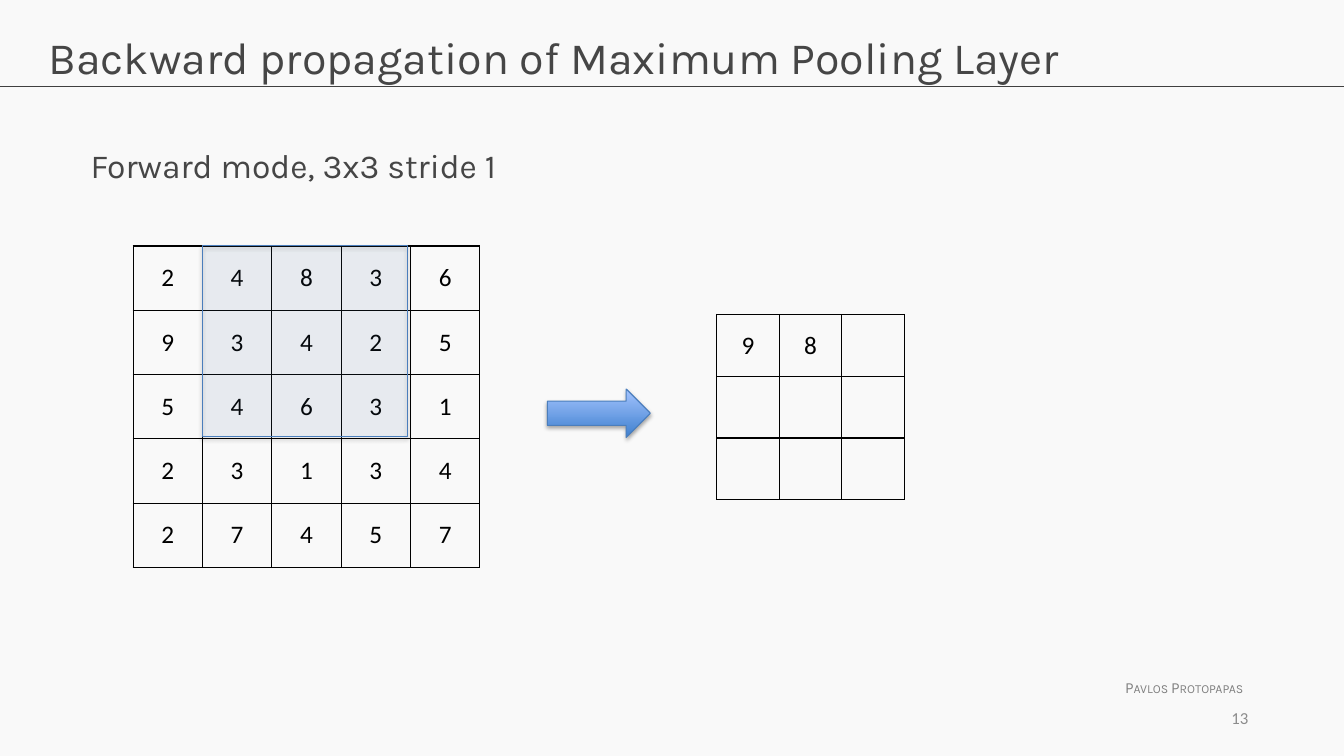
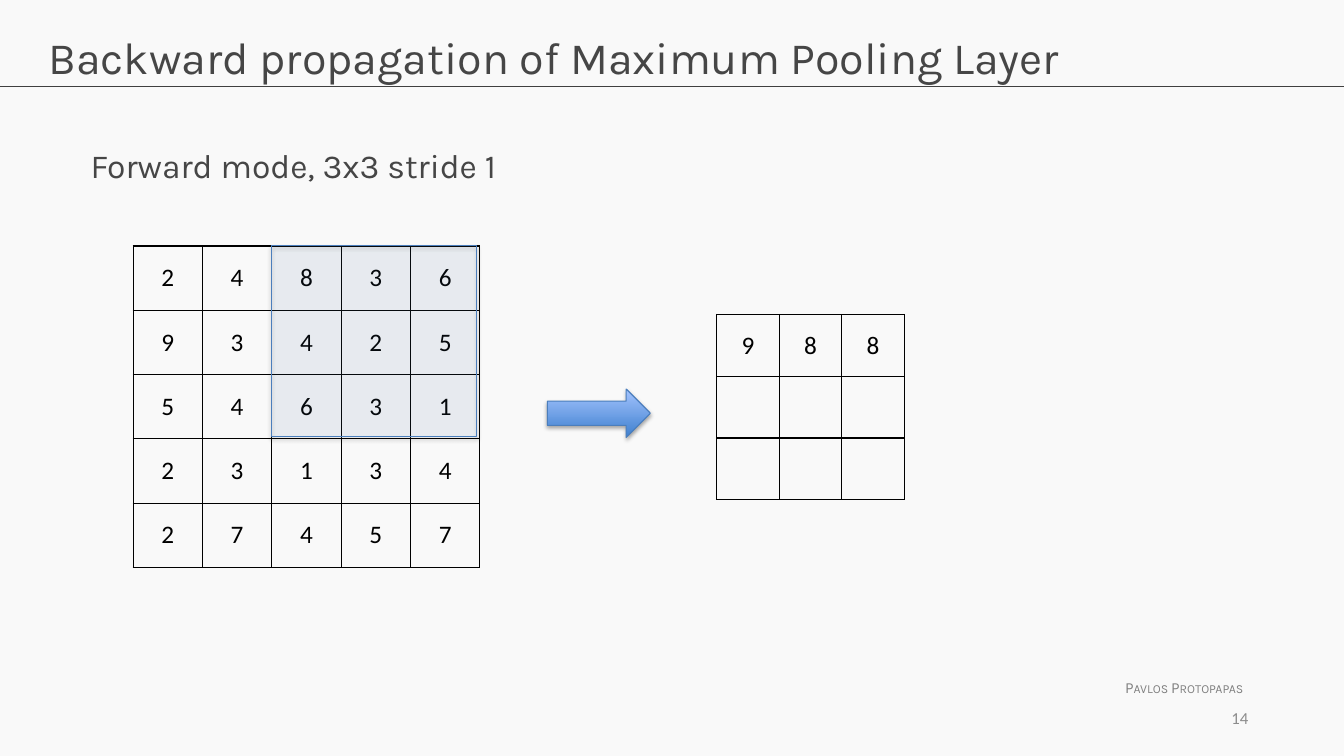
from lxml import etree
from pptx import Presentation
from pptx.dml.color import RGBColor
from pptx.enum.shapes import MSO_CONNECTOR, MSO_SHAPE
from pptx.enum.text import MSO_ANCHOR, MSO_AUTO_SIZE, PP_ALIGN
from pptx.oxml.ns import qn
from pptx.util import Inches, Pt

LEFT, CENTER, RIGHT = PP_ALIGN.LEFT, PP_ALIGN.CENTER, PP_ALIGN.RIGHT
TOP, MIDDLE = MSO_ANCHOR.TOP, MSO_ANCHOR.MIDDLE
FIT, NO_FIT = MSO_AUTO_SIZE.SHAPE_TO_FIT_TEXT, MSO_AUTO_SIZE.NONE
RECT, ARROW = MSO_SHAPE.RECTANGLE, MSO_SHAPE.RIGHT_ARROW
STRAIGHT = MSO_CONNECTOR.STRAIGHT

WIDTH, HEIGHT = 13.33, 7.5
BG, RULE, INK, BLACK = "F9F9F9", "404040", "464646", "000000"
AUTHOR_GREY, NUMBER_GREY = "808080", "8C8C8C"
BLUE, BLUE_EDGE, GRADIENT = "4F81BD", "4B7EBC", ("3F80CE", "A4C4FF")
HEAD_FONT, BODY_FONT = "Karla", "Calibri"

TITLE = "Backward propagation of Maximum Pooling Layer"
MODE = "Forward mode, 3x3 stride 1"
AUTHOR = "Pavlos Protopapas"
INPUT = ["24836", "93425", "54631", "23134", "27457"]
STEPS = [
    {"number": 13, "column": 1, "output": ["98 ", "   ", "   "]},
    {"number": 14, "column": 2, "output": ["988", "   ", "   "]},
]
INPUT_BOX = (1.32, 2.44, 3.44, 3.19)
OUTPUT_BOX = (7.11, 3.12, 1.86, 1.84)
ARROW_BOX = (5.43, 3.86, 1.02, 0.48)
WINDOW_SIZE = (2.03, 1.89)


def rgb(value):
    return RGBColor.from_string(value)


def inches(*values):
    return [Inches(v) for v in values]


def style(p, size, font, color, align=LEFT):
    p.alignment = align
    p.font.size, p.font.name = Pt(size), font
    p.font.color.rgb = rgb(color)


def add_text(s, box, text, size, font, color, align=LEFT, anchor=TOP, wrap=True):
    tf = s.shapes.add_textbox(*inches(*box)).text_frame
    tf.word_wrap, tf.vertical_anchor = wrap, anchor
    tf.auto_size = NO_FIT if wrap else FIT
    p = tf.paragraphs[0]
    p.text = text
    style(p, size, font, color, align)
    return p


def add_border(cell):
    tcPr = cell._tc.get_or_add_tcPr()
    for side in ("a:lnL", "a:lnR", "a:lnT", "a:lnB"):
        ln = etree.SubElement(tcPr, qn(side), w=str(Pt(1)))
        fill = etree.SubElement(ln, qn("a:solidFill"))
        etree.SubElement(fill, qn("a:srgbClr"), val=BLACK)


def add_matrix(s, box, rows):
    table = s.shapes.add_table(len(rows), len(rows[0]), *inches(*box)).table
    table.first_row = table.horz_banding = False
    for i, row in enumerate(rows):
        for j, value in enumerate(row):
            cell = table.cell(i, j)
            add_border(cell)
            cell.fill.background()
            cell.vertical_anchor = MIDDLE
            p = cell.text_frame.paragraphs[0]
            p.text = value.strip()
            style(p, 18, BODY_FONT, BLACK, CENTER)


def add_blue_shape(s, kind, box):
    sp = s.shapes.add_shape(kind, *inches(*box))
    sp.line.color.rgb, sp.line.width = rgb(BLUE_EDGE), Pt(0.75)
    return sp


def add_shadow(sp):
    sp.shadow.inherit = False
    effects = sp._element.spPr.find(qn("a:effectLst"))
    shadow = etree.SubElement(effects, qn("a:outerShdw"), blurRad=str(Pt(3.1)),
                              dist=str(Pt(1.8)), dir="5400000", rotWithShape="0")
    color = etree.SubElement(shadow, qn("a:srgbClr"), val=BLACK)
    etree.SubElement(color, qn("a:alpha"), val="35000")


def add_window(s, column):
    left, top, width, _ = INPUT_BOX
    cell_width = width / len(INPUT[0])
    sp = add_blue_shape(s, RECT, (left + column * cell_width, top, *WINDOW_SIZE))
    sp.fill.solid()
    sp.fill.fore_color.rgb = rgb(BLUE)
    color = sp._element.spPr.find(qn("a:solidFill"))[0]
    etree.SubElement(color, qn("a:alpha"), val="7000")
    add_shadow(sp)


def add_arrow(s):
    sp = add_blue_shape(s, ARROW, ARROW_BOX)
    sp.fill.gradient()
    sp.fill.gradient_angle = 90
    for stop, color in zip(sp.fill.gradient_stops, GRADIENT):
        stop.color.rgb = rgb(color)
    add_shadow(sp)


def add_frame(s, number):
    rule = s.shapes.add_connector(STRAIGHT, *inches(0, 0.86, WIDTH, 0.86))
    rule.line.color.rgb, rule.line.width = rgb(RULE), Pt(0.75)
    etree.SubElement(rule._element.spPr, qn("a:effectLst"))
    p = add_text(s, (11.06, 6.68, 1.41, 0.29), AUTHOR, 11, HEAD_FONT,
                 AUTHOR_GREY, wrap=False)
    p._p.pPr.find(qn("a:defRPr")).set("cap", "small")
    add_text(s, (9.37, 6.92, 3.11, 0.4), str(number), 12, BODY_FONT,
             NUMBER_GREY, RIGHT, MIDDLE)
    title = s.shapes.title
    title.left, title.top, title.width, title.height = inches(0.38, 0.24, 12.57, 0.84)
    tf = title.text_frame
    tf.text, tf.vertical_anchor, tf.auto_size = TITLE, TOP, NO_FIT
    style(tf.paragraphs[0], 32, HEAD_FONT, INK)


def add_step(prs, step):
    s = prs.slides.add_slide(prs.slide_layouts[5])
    add_frame(s, step["number"])
    add_matrix(s, INPUT_BOX, INPUT)
    add_window(s, step["column"])
    add_arrow(s)
    add_matrix(s, OUTPUT_BOX, step["output"])
    p = add_text(s, (0.8, 1.39, 11.29, 0.89), MODE, 24, HEAD_FONT, INK)
    p.space_after = Pt(12)


def main():
    prs = Presentation()
    prs.slide_width, prs.slide_height = inches(WIDTH, HEIGHT)
    background = prs.slide_master.background.fill
    background.solid()
    background.fore_color.rgb = rgb(BG)
    for step in STEPS:
        add_step(prs, step)
    prs.save("out.pptx")


if __name__ == "__main__":
    main()
